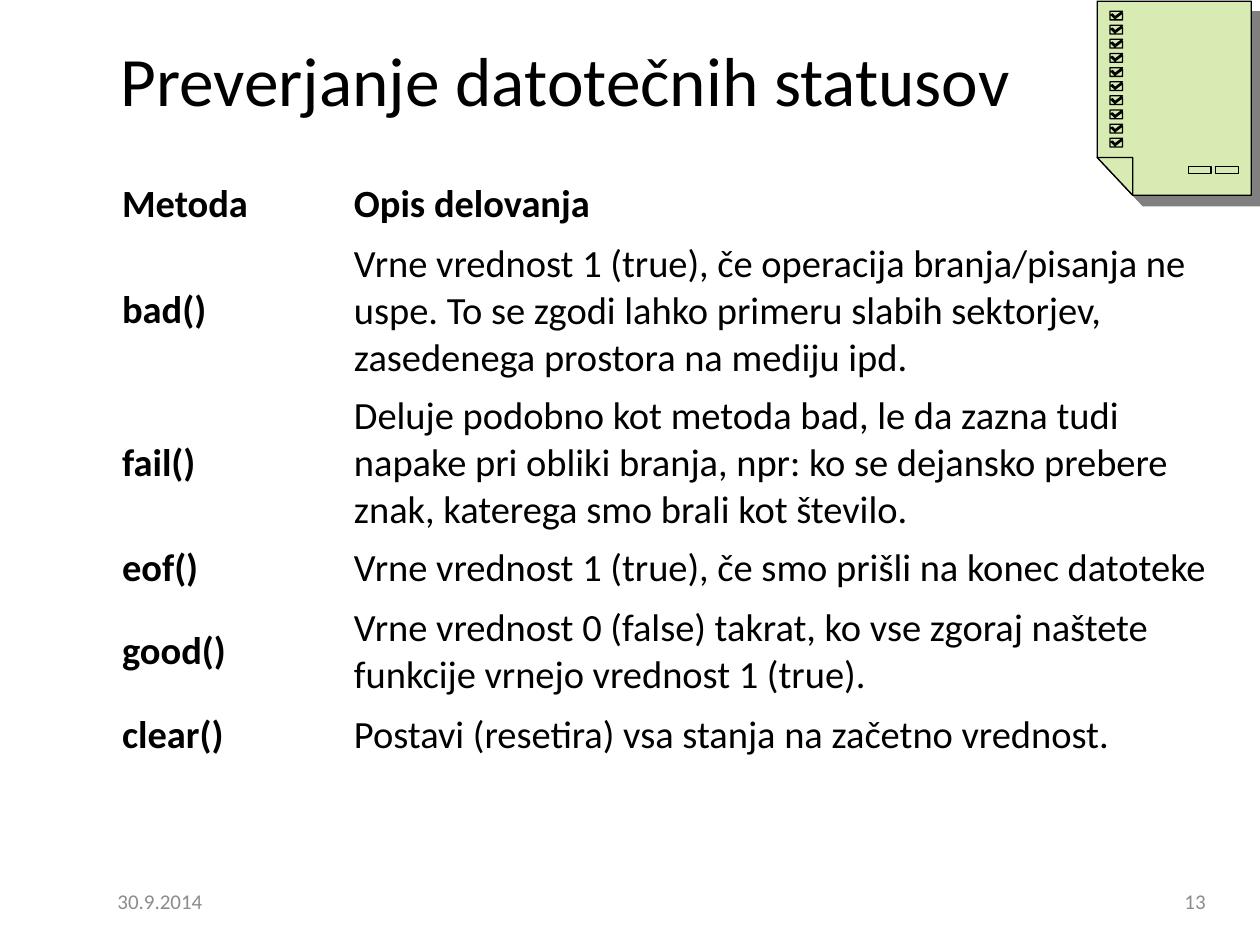
"""Build the slide on checking file status methods."""
from lxml import etree
from pptx import Presentation
from pptx.dml.color import RGBColor
from pptx.enum import text as t
from pptx.oxml.ns import qn
from pptx.util import Pt

TITLE = "Preverjanje datotečnih statusov"
METHODS = [
    ("Metoda", "Opis delovanja"),
    ("bad()", "Vrne vrednost 1 (true), če operacija branja/pisanja ne uspe. To se zgodi lahko "
              "primeru slabih sektorjev, zasedenega prostora na mediju ipd."),
    ("fail()", "Deluje podobno kot metoda bad, le da zazna tudi napake pri obliki branja, npr: ko se "
               "dejansko prebere znak, katerega smo brali kot število."),
    ("eof()", "Vrne vrednost 1 (true), če smo prišli na konec datoteke"),
    ("good()", "Vrne vrednost 0 (false) takrat, ko vse zgoraj naštete funkcije vrnejo vrednost 1 (true)."),
    ("clear()", "Postavi (resetira) vsa stanja na začetno vrednost."),
]
COLUMN_WIDTHS = (132.5, 519.8)
ROW_HEIGHTS = (34, 87, 87, 34, 61, 34)
FOOTERS = [("30.9.2014", 60, t.PP_ALIGN.LEFT), ("13", 528, t.PP_ALIGN.RIGHT)]

PAPER = [(647.3, 111.6), (627, 90), (627, 0.7), (715, 0.7), (715, 111.6)]
FOLD = [(627, 90), (647.3, 90), (647.3, 111.6)]
BUTTON = [(0, 0), (13, 0), (13, 4.2), (0, 4.2)]
CHECK = [(0, 0), (7.2, 0), (2.9, 3.2), (1.4, 1.6), (0.7, 2.2), (2.9, 4.3), (7.2, 1), (7.2, 5), (0, 5)]
CHECK_COUNT, CHECK_PITCH = 10, 8.07


def color(value):
    return RGBColor.from_string(value)


def write(frame, words, size, bold=False, fill="000000", align=t.PP_ALIGN.LEFT):
    frame.word_wrap = True
    frame.vertical_anchor = t.MSO_ANCHOR.MIDDLE
    para = frame.paragraphs[0]
    para.alignment = align
    span = para.add_run()
    span.text = words
    span.font.name, span.font.size, span.font.bold = "Calibri", Pt(size), bold
    span.font.color.rgb = color(fill)


def place(shape, left, top, width, height):
    shape.left, shape.top, shape.width, shape.height = map(Pt, (left, top, width, height))


def shifted(outline, left, top):
    return [(left + x, top + y) for x, y in outline]


def add_table(page):
    frame = page.shapes.add_table(len(METHODS), 2, Pt(62.6), Pt(100), Pt(sum(COLUMN_WIDTHS)), Pt(sum(ROW_HEIGHTS)))
    table = frame.table
    table.first_row = table.horz_banding = False
    table._tbl.tblPr.find(qn("a:tableStyleId")).text = "{2D5ABB26-0587-4C30-8999-92F81FD0307C}"
    for column, width in zip(table.columns, COLUMN_WIDTHS):
        column.width = Pt(width)
    for r, (row, height) in enumerate(zip(table.rows, ROW_HEIGHTS)):
        row.height = Pt(height)
        for c, cell in enumerate(row.cells):
            cell.fill.background()
            write(cell.text_frame, METHODS[r][c], 22, bold=r == 0 or c == 0)
            cell.vertical_anchor = t.MSO_ANCHOR.MIDDLE


def split_contours(shape):
    whole = shape._element.find(".//" + qn("a:path"))
    holder = whole.getparent()
    for step in list(whole):
        if step.tag == qn("a:moveTo"):
            contour = etree.SubElement(holder, qn("a:path"), dict(whole.attrib))
        contour.append(step)
    holder.remove(whole)


def add_shadow(shape):
    effects = etree.SubElement(shape._element.spPr, qn("a:effectLst"))
    shadow = etree.SubElement(effects, qn("a:outerShdw"), dist=str(Pt(8.5)), dir="2700000",
                              algn="ctr", rotWithShape="0")
    etree.SubElement(shadow, qn("a:srgbClr"), val="808080")


def add_checklist(page):
    outlines = [PAPER, FOLD, shifted(BUTTON, 679, 95.1), shifted(BUTTON, 694.8, 95.1)]
    outlines += [shifted(CHECK, 634.3, 6.4 + i * CHECK_PITCH) for i in range(CHECK_COUNT)]
    tenths = [[(x * 10, y * 10) for x, y in outline] for outline in outlines]
    builder = page.shapes.build_freeform(*tenths[0][0], scale=Pt(0.1))
    for i, (start, *rest) in enumerate(tenths):
        if i:
            builder.move_to(*start)
        builder.add_line_segments(rest, close=True)
    sheet = builder.convert_to_shape()
    split_contours(sheet)
    sheet.fill.solid()
    sheet.fill.fore_color.rgb = color("D8EBB3")
    sheet.line.color.rgb = color("000000")
    sheet.line.width = Pt(0.75)
    add_shadow(sheet)


def main():
    deck = Presentation()
    deck.slide_width, deck.slide_height = Pt(720), Pt(540)
    page = deck.slides.add_slide(deck.slide_layouts[5])
    title = page.shapes.title
    place(title, 48, 0, 550, 90)
    write(title.text_frame, TITLE, 39.6, align=t.PP_ALIGN.CENTER)
    for words, left, align in FOOTERS:
        box = page.shapes.add_textbox(0, 0, 0, 0)
        place(box, left, 500.5, 168, 28.75)
        write(box.text_frame, words, 12, fill="8C8C8C", align=align)
    add_table(page)
    add_checklist(page)
    deck.save("out.pptx")


if __name__ == "__main__":
    main()
